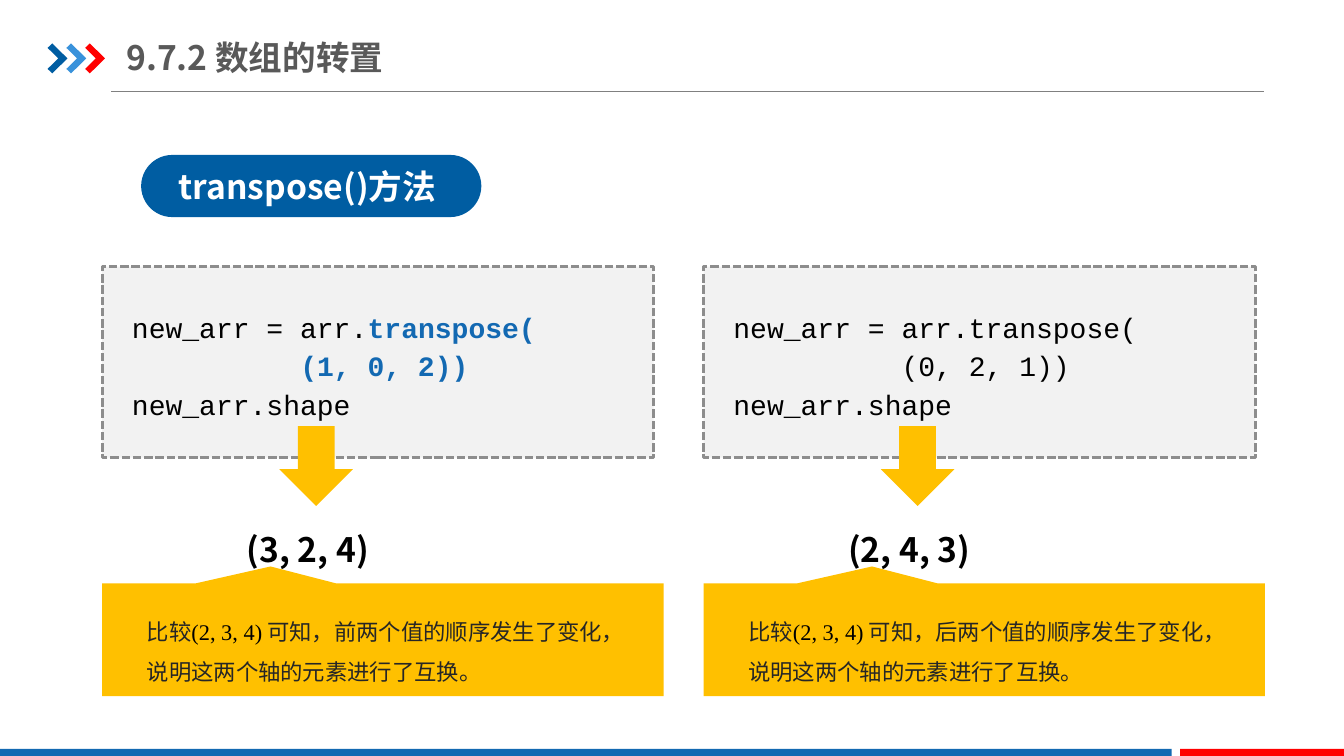
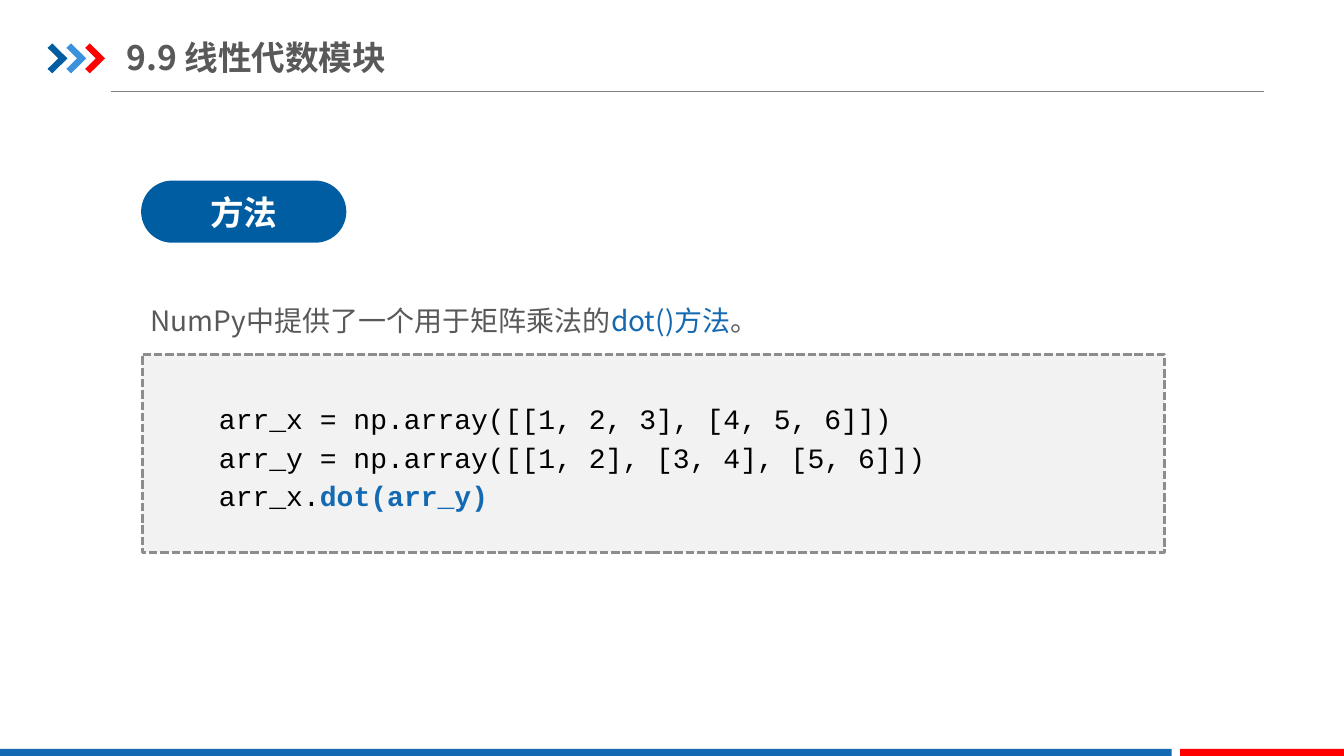
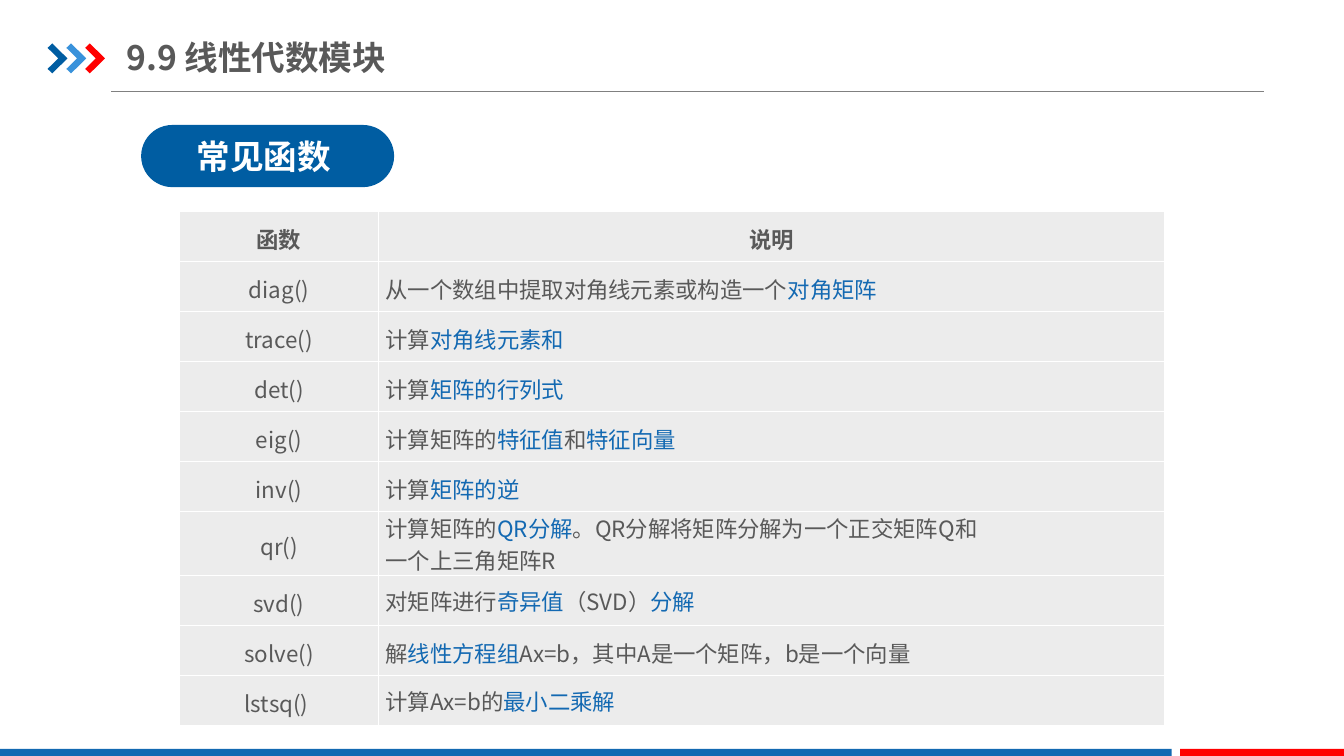
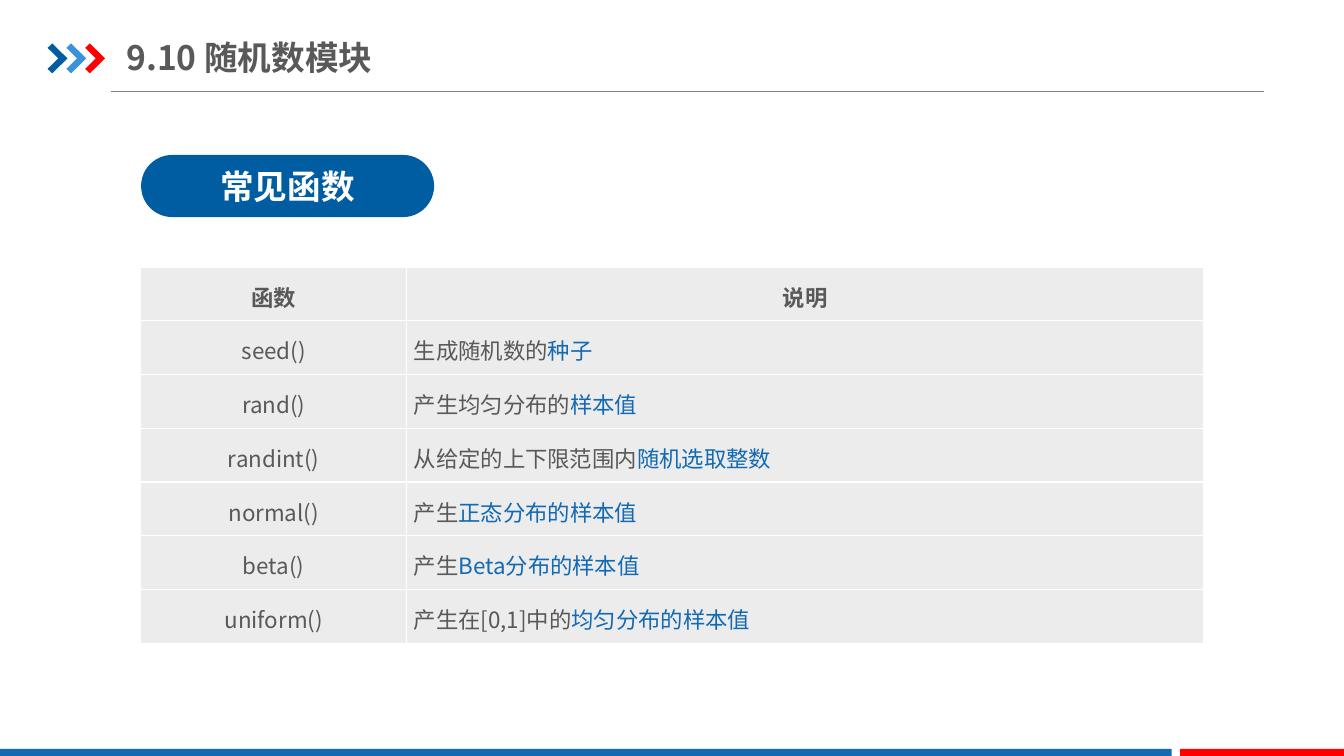
"""Build four slides on array transposition, linear algebra and random numbers."""

import dataclasses
import typing

import lxml.etree
import pptx
import pptx.dml.color
import pptx.enum.dml
import pptx.enum.shapes
import pptx.enum.text
import pptx.oxml.ns
import pptx.shapes.autoshape
import pptx.slide
import pptx.text.text
import pptx.util

Pt = pptx.util.Pt
SHAPES = pptx.enum.shapes.MSO_SHAPE
ALIGN = pptx.enum.text.PP_ALIGN
MIDDLE = pptx.enum.text.MSO_ANCHOR.MIDDLE

NAVY, BLUE, SKY, RED, YELLOW = "005DA2", "1369B2", "3992DB", "FF0000", "FFC000"
BLACK, DARK, GREY, WHITE = "000000", "262626", "595959", "FFFFFF"
RULE, PANEL, PANEL_EDGE, CELL = "808080", "F2F2F2", "8D8D8D", "ECECEC"
SANS, MONO, SERIF = "Noto Sans CJK SC", "Courier New", "Times New Roman"
TABLE_LINE_HEIGHT = 23


@dataclasses.dataclass(frozen=True)
class Style:
    size: float
    color: str
    font: str = SANS
    bold: bool = False


@dataclasses.dataclass(frozen=True)
class Box:
    left: float
    top: float
    width: float
    height: float

    def lengths(self) -> list[int]:
        return [Pt(value) for value in dataclasses.astuple(self)]


@dataclasses.dataclass(frozen=True)
class Example:
    code: list[str]
    result: str
    note: str


@dataclasses.dataclass(frozen=True)
class Row:
    function: str
    description: str
    spacing: float = 1.15

    def lines(self) -> list[str]:
        return self.description.split("\n")


TITLE = Style(24, GREY, bold=True)
PILL = Style(24, WHITE, bold=True)
RESULT = Style(24, BLACK, bold=True)
BODY, BODY_ACCENT = Style(20, GREY), Style(20, BLUE)
CODE, CODE_ACCENT = Style(20, BLACK, MONO), Style(20, BLUE, MONO, True)
NOTE, NOTE_ACCENT = Style(16, DARK), Style(16, BLACK, SERIF)
HEADER = Style(16, GREY, bold=True)
ENTRY, ENTRY_ACCENT = Style(16, GREY), Style(16, BLUE)

CHEVRON = [(0, 3.2), (3.4, 0), (14.2, 10.7), (3.4, 21.4), (0, 18.2), (7.6, 10.7)]

EXAMPLES = [
    Example(
        ["new_arr = arr.|transpose(", "          |(1, 0, 2))", "new_arr.shape"],
        "(3, 2, 4)",
        "比较|(2, 3, 4)| 可知，前两个值的顺序发生了变化，说明这两个轴的元素进行了互换。",
    ),
    Example(
        ["new_arr = arr.transpose(", "          (0, 2, 1))", "new_arr.shape"],
        "(2, 4, 3)",
        "比较|(2, 3, 4)| 可知，后两个值的顺序发生了变化，说明这两个轴的元素进行了互换。",
    ),
]
DOT_CODE = [
    "arr_x = np.array([[1, 2, 3], [4, 5, 6]])",
    "arr_y = np.array([[1, 2], [3, 4], [5, 6]])",
    "arr_x.|dot(arr_y)",
]
ALGEBRA_ROWS = [
    Row("diag()", "从一个数组中提取对角线元素或构造一个|对角矩阵"),
    Row("trace()", "计算|对角线元素和"),
    Row("det()", "计算|矩阵的行列式"),
    Row("eig()", "计算矩阵的|特征值|和|特征向量"),
    Row("inv()", "计算|矩阵的逆"),
    Row("qr()", "计算矩阵的|QR分解|。QR分解将矩阵分解为一个正交矩阵Q和\n一个上三角矩阵R", 1.0),
    Row("svd()", "对矩阵进行|奇异值|（SVD）|分解", 1.0),
    Row("solve()", "解|线性方程组|Ax=b，其中A是一个矩阵，b是一个向量"),
    Row("lstsq() ", "计算Ax=b的|最小二乘解", 1.0),
]
RANDOM_ROWS = [
    Row("seed()", "生成随机数的|种子"),
    Row("rand()", "产生均匀分布的|样本值"),
    Row("randint()", "从给定的上下限范围内|随机选取整数"),
    Row("normal()", "产生|正态分布的样本值"),
    Row("beta()", "产生|Beta分布的样本值"),
    Row("uniform()", "产生在[0,1]中的|均匀分布的样本值"),
]


def rgb(color: str) -> pptx.dml.color.RGBColor:
    return pptx.dml.color.RGBColor.from_string(color)


def write(
    frame: pptx.text.text.TextFrame,
    lines: list[str],
    style: Style,
    accent: typing.Optional[Style] = None,
    spacing: float = 1.0,
    align: ALIGN = ALIGN.LEFT,
    indent: float = 0,
) -> None:
    styles = (style, accent or style)
    for number, line in enumerate(lines):
        paragraph = frame.add_paragraph() if number else frame.paragraphs[0]
        first, *others = line.split("|")
        paragraph.text = first
        for piece in others:
            paragraph.add_run().text = piece
        paragraph.alignment = align
        paragraph.line_spacing = spacing
        if indent:
            paragraph._p.get_or_add_pPr().set("indent", str(Pt(indent)))
        for index, run in enumerate(paragraph.runs):
            look = styles[index % 2]
            run.font.size = Pt(look.size)
            run.font.bold = look.bold
            run.font.color.rgb = rgb(look.color)
            run.font.name = look.font
            east_asian = lxml.etree.SubElement(
                run._r.get_or_add_rPr(), pptx.oxml.ns.qn("a:ea")
            )
            east_asian.set("typeface", look.font)


def add_text(
    slide: pptx.slide.Slide, box: Box, lines: list[str], style: Style, **options: typing.Any
) -> pptx.text.text.TextFrame:
    frame = slide.shapes.add_textbox(*box.lengths()).text_frame
    frame.word_wrap = True
    write(frame, lines, style, **options)
    return frame


def paint(shape: pptx.shapes.autoshape.Shape, color: str) -> None:
    shape.shadow.inherit = False
    shape.fill.solid()
    shape.fill.fore_color.rgb = rgb(color)
    shape.line.fill.background()


def add_shape(
    slide: pptx.slide.Slide, kind: SHAPES, box: Box, color: str
) -> pptx.shapes.autoshape.Shape:
    shape = slide.shapes.add_shape(kind, *box.lengths())
    paint(shape, color)
    return shape


def add_frame(presentation: typing.Any, title: str) -> pptx.slide.Slide:
    slide = presentation.slides.add_slide(presentation.slide_layouts[6])
    rule = slide.shapes.add_connector(
        pptx.enum.shapes.MSO_CONNECTOR.STRAIGHT, Pt(79.5), Pt(65.5), Pt(903.2), Pt(65.5)
    )
    rule.line.color.rgb = rgb(RULE)
    rule.line.width = Pt(0.75)
    lxml.etree.SubElement(rule._element.spPr, pptx.oxml.ns.qn("a:effectLst"))
    chevrons = []
    for index, color in enumerate((NAVY, SKY, RED)):
        left, top = 34 + 13.4 * index, 31
        points = [(Pt(left + x), Pt(top + y)) for x, y in CHEVRON]
        builder = slide.shapes.build_freeform(*points[0])
        builder.add_line_segments(points[1:], close=True)
        chevron = builder.convert_to_shape()
        paint(chevron, color)
        chevrons.append(chevron)
    slide.shapes.add_group_shape(chevrons)
    add_shape(slide, SHAPES.RECTANGLE, Box(0, 535, 837, 5), BLUE)
    add_shape(slide, SHAPES.RECTANGLE, Box(843, 535, 117, 5), RED)
    frame = add_text(slide, Box(90.3, 21, 401, 39.6), [title], TITLE)
    frame.margin_left = frame.margin_right = 0
    frame.vertical_anchor = MIDDLE
    return slide


def add_pill(slide: pptx.slide.Slide, top: float, width: float, text: str) -> None:
    pill = add_shape(slide, SHAPES.ROUNDED_RECTANGLE, Box(100.8, top, width, 44.4), NAVY)
    pill.adjustments[0] = 0.5
    pill.text_frame.vertical_anchor = MIDDLE
    write(pill.text_frame, [text], PILL, align=ALIGN.CENTER)


def add_code(
    slide: pptx.slide.Slide, panel: Box, text: Box, lines: list[str], indent: float = 0
) -> None:
    shape = add_shape(slide, SHAPES.RECTANGLE, panel, PANEL)
    shape.line.color.rgb = rgb(PANEL_EDGE)
    shape.line.width = Pt(2)
    shape.line.dash_style = pptx.enum.dml.MSO_LINE.SQUARE_DOT
    add_text(slide, text, lines, CODE, accent=CODE_ACCENT, spacing=1.15, indent=indent)


def add_example(slide: pptx.slide.Slide, left: float, example: Example) -> None:
    add_code(
        slide,
        Box(left, 190.5, 394, 136.4),
        Box(left + 14.2, 214.4, 366, 90),
        example.code,
    )
    add_shape(slide, SHAPES.DOWN_ARROW, Box(left + 126.6, 304.4, 52.5, 57), YELLOW)
    add_text(slide, Box(left + 96.2, 360, 116, 46), [example.result], RESULT, spacing=1.5)
    callout = add_shape(
        slide, SHAPES.RECTANGULAR_CALLOUT, Box(left, 416.7, 401, 80.6), YELLOW
    )
    callout.adjustments[0] = -0.2
    callout.adjustments[1] = -0.65
    add_text(
        slide,
        Box(left + 24.8, 428.5, 352, 62),
        [example.note],
        NOTE,
        accent=NOTE_ACCENT,
        spacing=1.5,
    )


def add_function_table(
    slide: pptx.slide.Slide,
    left: float,
    top: float,
    widths: tuple[float, float],
    row_height: float,
    rows: list[Row],
) -> None:
    heights = [row_height] + [
        max(row_height, TABLE_LINE_HEIGHT * len(row.lines())) for row in rows
    ]
    box = Box(left, top, sum(widths), sum(heights))
    table = slide.shapes.add_table(len(heights), 2, *box.lengths()).table
    table.first_row = table.horz_banding = False
    for column, width in zip(table.columns, widths):
        column.width = Pt(width)
    for table_row, height in zip(table.rows, heights):
        table_row.height = Pt(height)
    for cell in table.iter_cells():
        properties = cell._tc.get_or_add_tcPr()
        for side in ("a:lnL", "a:lnR", "a:lnT", "a:lnB"):
            border = lxml.etree.SubElement(
                properties, pptx.oxml.ns.qn(side), w=str(Pt(1))
            )
            fill = lxml.etree.SubElement(border, pptx.oxml.ns.qn("a:solidFill"))
            lxml.etree.SubElement(fill, pptx.oxml.ns.qn("a:srgbClr"), val=WHITE)
        cell.fill.solid()
        cell.fill.fore_color.rgb = rgb(CELL)
        cell.margin_left = cell.margin_right = Pt(5.2)
        cell.margin_top = cell.margin_bottom = 0
        cell.vertical_anchor = MIDDLE
    for index, heading in enumerate(("函数", "说明")):
        frame = table.cell(0, index).text_frame
        write(frame, [heading], HEADER, spacing=1.15, align=ALIGN.CENTER)
    for number, row in enumerate(rows, start=1):
        name = table.cell(number, 0).text_frame
        write(name, [row.function], ENTRY, spacing=1.15, align=ALIGN.CENTER)
        description = table.cell(number, 1).text_frame
        write(description, row.lines(), ENTRY, ENTRY_ACCENT, row.spacing)


def main() -> None:
    presentation = pptx.Presentation()
    presentation.slide_width, presentation.slide_height = Pt(960), Pt(540)

    transpose = add_frame(presentation, "9.7.2 数组的转置")
    add_pill(transpose, 110.7, 243, "transpose()方法 ")
    for index, example in enumerate(EXAMPLES):
        add_example(transpose, 73 + 429.6 * index, example)

    dot = add_frame(presentation, "9.9 线性代数模块")
    add_text(
        dot,
        Box(100.6, 201, 499, 39.6),
        ["NumPy中提供了一个用于矩阵乘法的|dot()方法|。"],
        BODY,
        accent=BODY_ACCENT,
        spacing=1.5,
    )
    add_code(dot, Box(101.5, 253, 730.4, 141.6), Box(128.3, 279.6, 677, 90), DOT_CODE, 21)
    add_pill(dot, 129, 146.6, "方法")

    algebra = add_frame(presentation, "9.9 线性代数模块")
    add_function_table(algebra, 128.4, 151, (141.8, 561.6), 35.7, ALGEBRA_ROWS)
    add_pill(algebra, 89.3, 180.7, "常见函数 ")

    random = add_frame(presentation, "9.10 随机数模块")
    add_pill(random, 110.7, 209.3, "常见函数")
    add_function_table(random, 100.6, 190.8, (189.8, 569.5), 38.4, RANDOM_ROWS)

    presentation.save("out.pptx")


if __name__ == "__main__":
    main()
